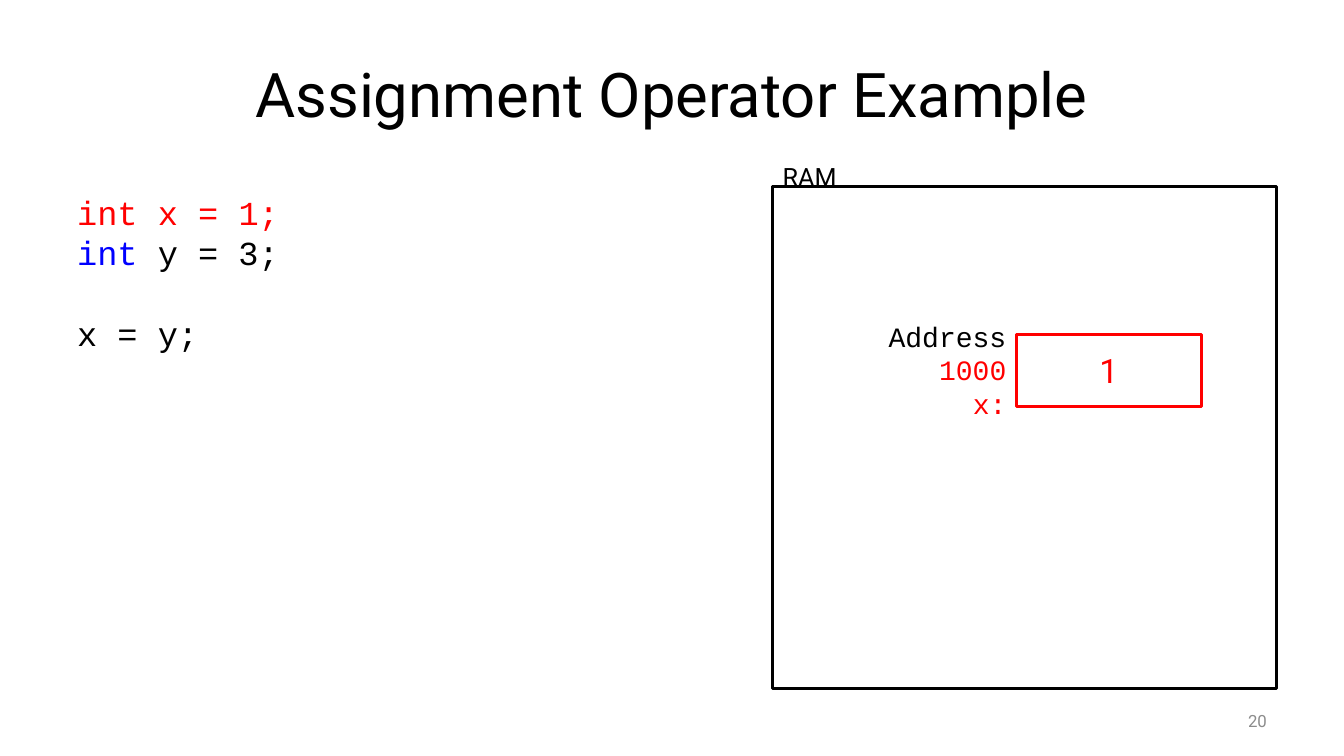
"""Build the slide on the assignment operator."""
from pptx import Presentation
from pptx.dml.color import RGBColor
from pptx.enum.shapes import MSO_SHAPE
from pptx.enum.text import MSO_ANCHOR, PP_ALIGN
from pptx.util import Inches, Pt

BLACK, RED, BLUE, GREY, WHITE = "000000", "FF0000", "0000FF", "8C8C8C", "FFFFFF"
SANS, MONO = "Roboto", "Courier New"
LEFT, MID, RIGHT = PP_ALIGN.LEFT, PP_ALIGN.CENTER, PP_ALIGN.RIGHT
TOP, HALF = MSO_ANCHOR.TOP, MSO_ANCHOR.MIDDLE


def paint(hue):
    """Turn a hex string into a colour."""
    return RGBColor.from_string(hue)


def write(shape, lines, size, face, align, anchor):
    """Fill a shape with lines of coloured runs."""
    frame = shape.text_frame
    frame.word_wrap = True
    frame.vertical_anchor = anchor
    for i, line in enumerate(lines):
        para = frame.paragraphs[0] if i == 0 else frame.add_paragraph()
        para.alignment = align
        for words, hue in line:
            run = para.add_run()
            run.text = words
            for key, value in {"name": face, "size": Pt(size)}.items():
                setattr(run.font, key, value)
            run.font.color.rgb = paint(hue)
    return frame


deck = Presentation()
deck.slide_width, deck.slide_height = Inches(13.33), Inches(7.5)
col, row = deck.slide_width / 40, deck.slide_height / 75
slide = deck.slides.add_slide(deck.slide_layouts[5])

title = slide.shapes.title
place = {"left": 2 * col, "top": 3 * row, "width": 36 * col, "height": 12.5 * row}
for key, value in place.items():
    setattr(title, key, int(value))
write(title, [[("Assignment Operator Example", BLACK)]], 44, SANS, MID, HALF)

cells = []
for x, y, w, h, hue in [
    (23, 18.5, 15, 49.8, BLACK),
    (30.25, 33.2, 5.5, 7.1, RED),
]:
    cell = slide.shapes.add_shape(
        MSO_SHAPE.RECTANGLE, int(x * col), int(y * row), int(w * col), int(h * row))
    cell.shadow.inherit = False
    cell.fill.solid()
    cell.fill.fore_color.rgb = paint(WHITE)
    cell.line.color.rgb = paint(hue)
    cell.line.width = Pt(2)
    cells.append(cell)
write(cells[1], [[("1", RED)]], 24, SANS, MID, HALF)

code = [
    [("int x = 1;", RED)],
    [("int", BLUE), (" y = 3;", BLACK)],
    [("x = y;", BLACK)],
]
label = [[("Address", BLACK), (" 1000", RED)], [("x:", RED)]]
frames = []
for x, y, w, h, lines, size, face, align, anchor in [
    (28.67, 69.5, 9.33, 4, [[("20", GREY)]], 12, SANS, RIGHT, HALF),
    (23, 15.5, 5.6, 4, [[("RAM", BLACK)]], 18, SANS, LEFT, TOP),
    (24, 32.8, 6.25, 7.7, label, 20, MONO, RIGHT, HALF),
    (2, 18.5, 17.8, 17.2, code, 24, MONO, LEFT, TOP),
]:
    box = slide.shapes.add_textbox(
        int(x * col), int(y * row), int(w * col), int(h * row))
    frames.append(write(box, lines, size, face, align, anchor))
frames[-1].paragraphs[-1].space_before = Pt(29)

deck.save("out.pptx")
